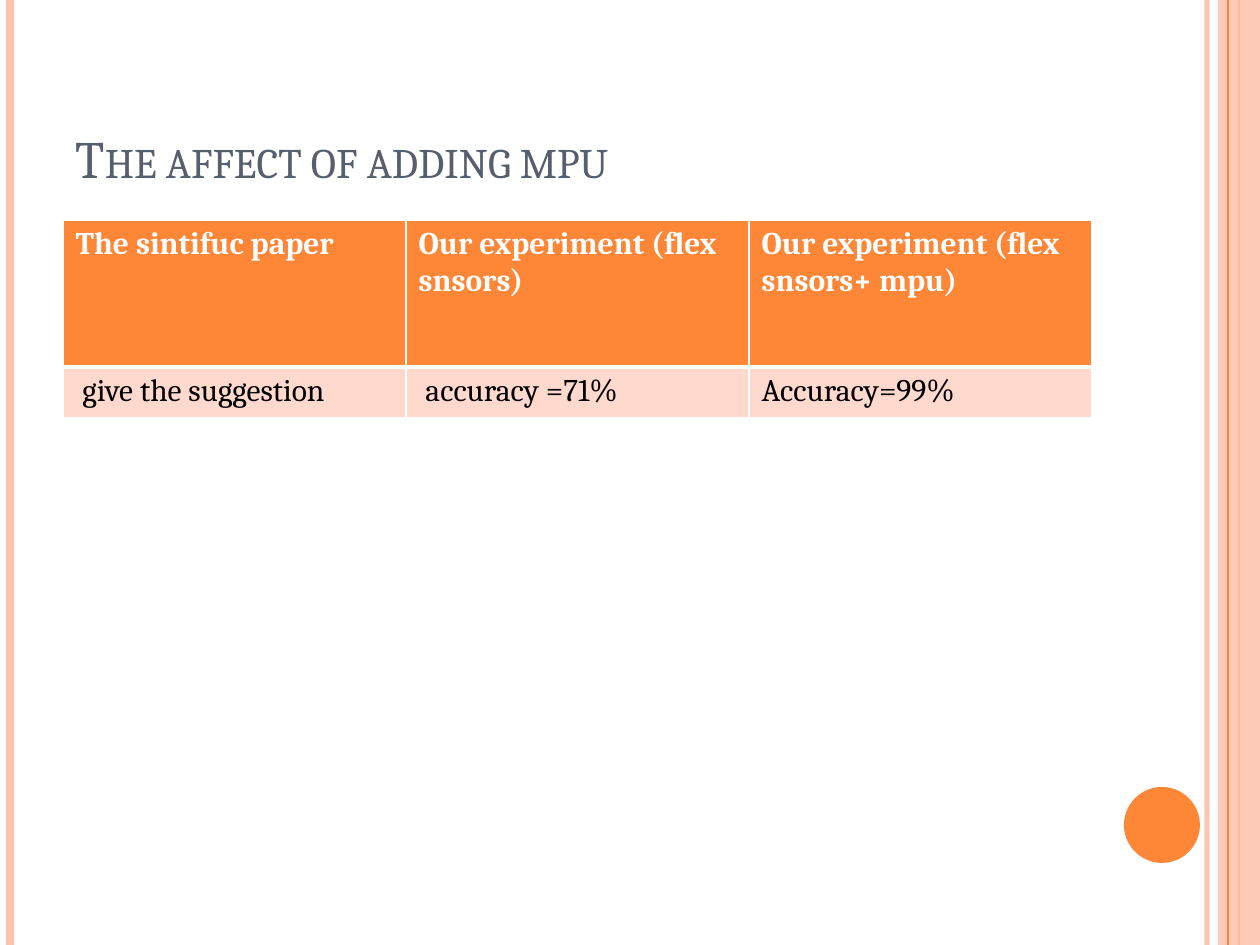
from pptx import Presentation
from pptx.dml.color import RGBColor
from pptx.enum.shapes import MSO_CONNECTOR as CONN, MSO_SHAPE as SHAPE
from pptx.enum.text import MSO_ANCHOR as ANCHOR, PP_ALIGN as ALIGN
from pptx.oxml.ns import qn
from pptx.util import Pt
from lxml.etree import SubElement as sub

PX = 914400 / 126
ORANGE, PEACH, WHITE = "FE8637", "FEC3AE", "FFFFFF"


def px(*vals):
    return [round(v * PX) for v in vals]


def paint(fill, color, alpha=100):
    fill.solid()
    fill.fore_color.rgb = RGBColor.from_string(color)
    if alpha < 100:
        tint = fill._xPr.find(qn("a:solidFill"))[0]
        sub(tint, qn("a:alpha"), val=str(alpha * 1000))


deck = Presentation()
deck.slide_width, deck.slide_height = px(1260, 945)
slide = deck.slides.add_slide(deck.slide_layouts[5])
shapes = slide.shapes
paint(slide.background.fill, WHITE)

# Side stripes, with the band over the first three; None marks the band
stripes = [(1207, PEACH, 3, 93), (10, PEACH, 4.5, 100), (1239, ORANGE, 1.5, 100),
           None, (1228, ORANGE, 0.75, 100)]
for stripe in stripes:
    if stripe is None:
        band = shapes.add_shape(SHAPE.RECTANGLE, *px(1218, 0, 42, 945))
        band.shadow.inherit = False
        paint(band.fill, PEACH, 87)
        band.line.fill.background()
        continue
    x, color, width, alpha = stripe
    line = shapes.add_connector(CONN.STRAIGHT, *px(x, 0, x, 945))
    line.line.width = Pt(width)
    paint(line.line.fill, color, alpha)
    sub(line._element.spPr, qn("a:effectLst"))

# Corner dot
dot = shapes.add_shape(SHAPE.OVAL, *px(1124, 787, 76, 76))
dot.shadow.inherit = False
paint(dot.fill, ORANGE)
dot.line.fill.background()

# Title in small caps
title = shapes.title
title.left, title.top, title.width, title.height = px(63, 38, 1029, 157)
frame = title.text_frame
frame.vertical_anchor = ANCHOR.BOTTOM
frame.text = "The affect of adding mpu"
frame.paragraphs[0].alignment = ALIGN.LEFT
font = frame.paragraphs[0].runs[0].font
for key, val in {"size": Pt(30), "name": "Cambria"}.items():
    setattr(font, key, val)
paint(font.fill, "575F6D")
font._element.set("cap", "small")

# Table: heading row, then results
rows = [["The sintifuc paper", "Our experiment (flex snsors)",
         "Our experiment (flex snsors+ mpu)"],
        [" give the suggestion", " accuracy =71%", "Accuracy=99%"]]
styles = [{"high": 147, "fill": ORANGE, "ink": WHITE, "bold": True,
           "edges": {"L": 1, "R": 1, "T": 1, "B": 3}},
          {"high": 51, "fill": "FFD9CE", "ink": "000000", "bold": False,
           "edges": {"L": 1, "R": 1, "T": 3, "B": 1}}]
grid = shapes.add_table(2, 3, *px(63, 220, 1029, 198)).table
for col in grid.columns:
    col.width = px(343)[0]
for r, (row, style) in enumerate(zip(rows, styles)):
    grid.rows[r].height = px(style["high"])[0]
    for c, text in enumerate(row):
        cell = grid.cell(r, c)
        cell.text = text
        font = cell.text_frame.paragraphs[0].runs[0].font
        for key, val in {"size": Pt(18), "name": "Cambria",
                         "bold": style["bold"]}.items():
            setattr(font, key, val)
        paint(font.fill, style["ink"])
        props = cell._tc.get_or_add_tcPr()
        for side, width in style["edges"].items():
            edge = sub(props, qn("a:ln" + side), w=str(Pt(width)))
            sub(sub(edge, qn("a:solidFill")), qn("a:srgbClr"), val=WHITE)
        paint(cell.fill, style["fill"])

deck.save("out.pptx")
